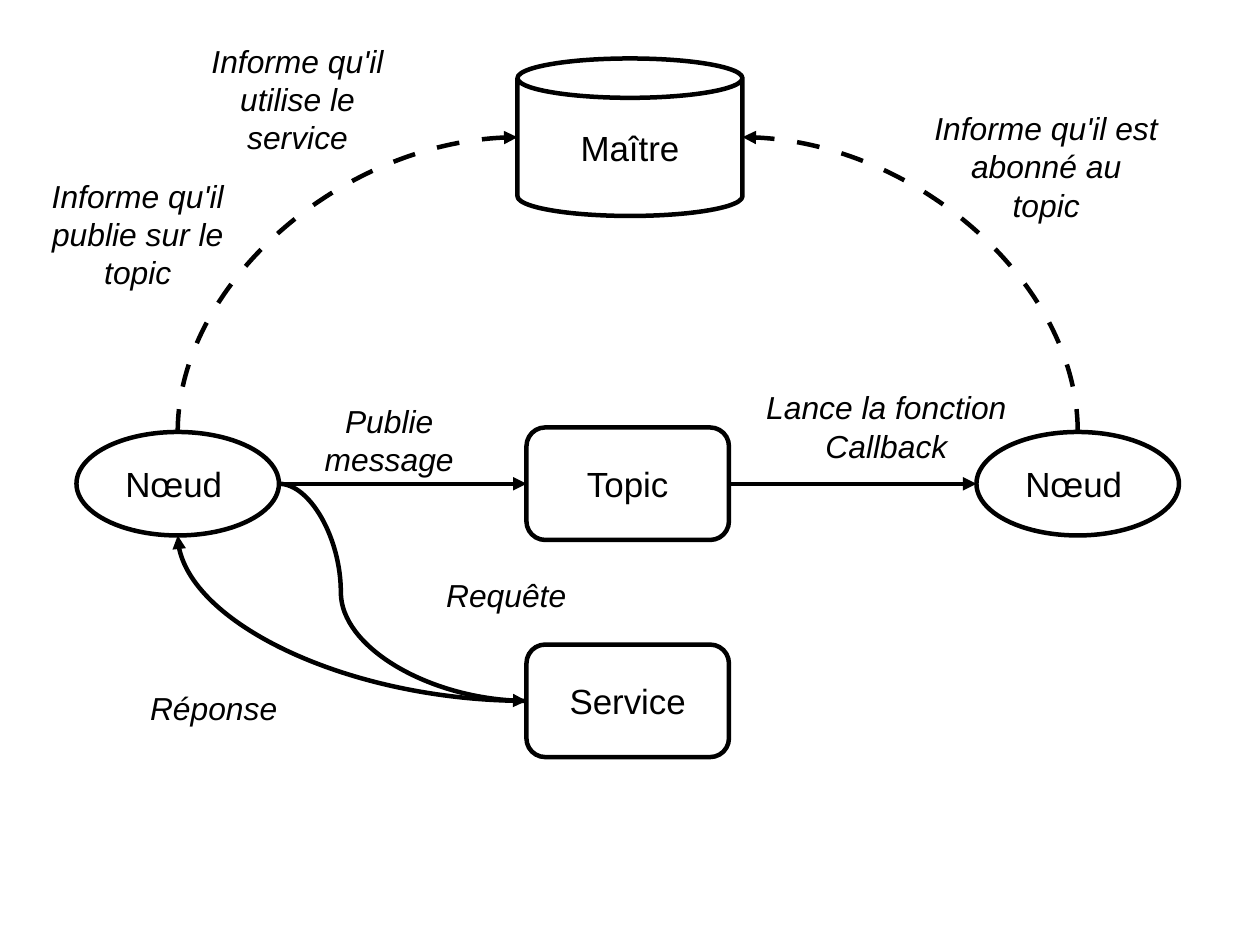
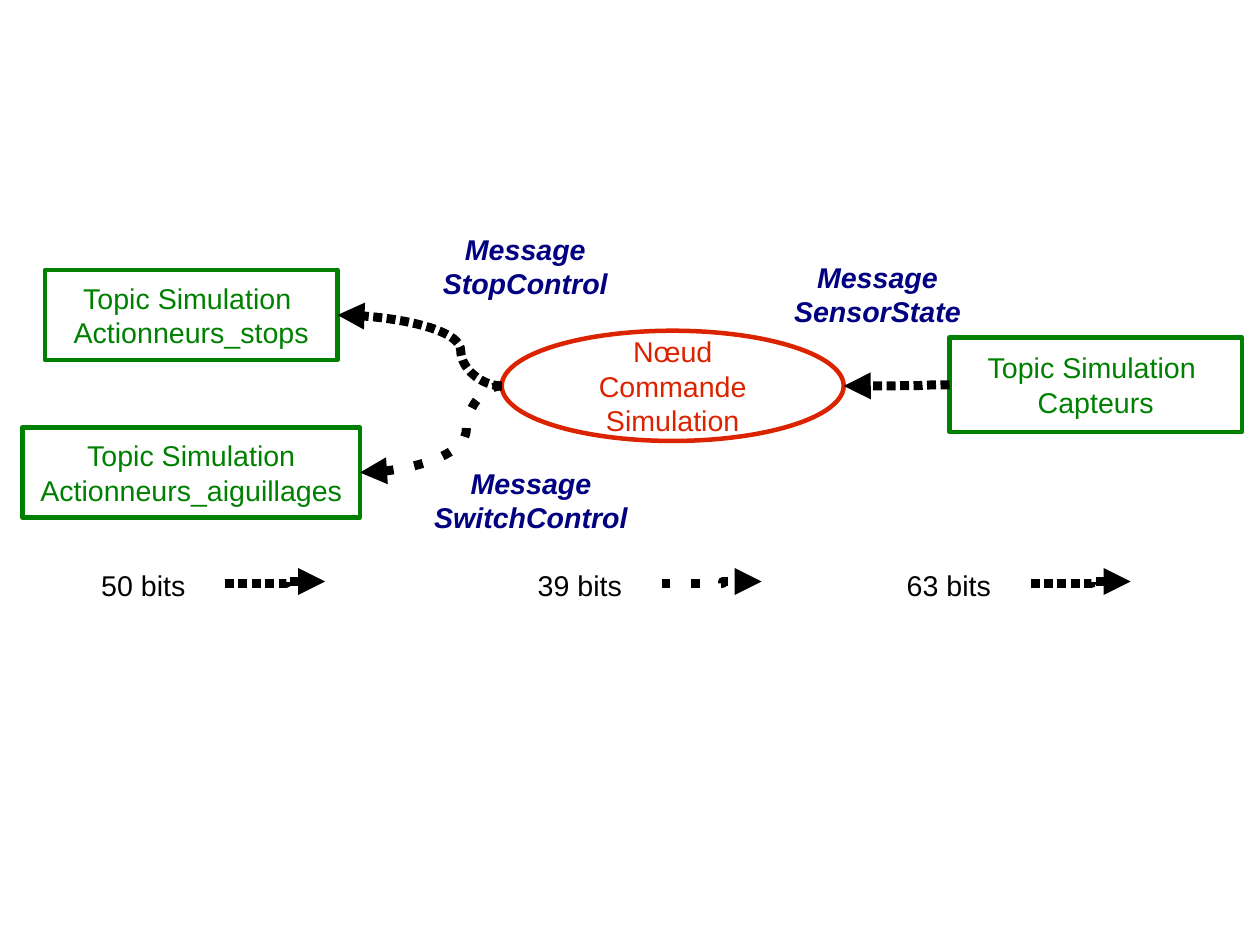
from dataclasses import dataclass

from lxml import etree
from pptx import Presentation
from pptx.dml.color import RGBColor
from pptx.enum.shapes import MSO_CONNECTOR, MSO_SHAPE
from pptx.enum.text import MSO_ANCHOR, MSO_AUTO_SIZE, PP_ALIGN
from pptx.oxml.ns import qn
from pptx.util import Emu, Pt

PX = 9000
ELLIPSE, CAN = MSO_SHAPE.OVAL, MSO_SHAPE.CAN
RECT, ROUND = MSO_SHAPE.RECTANGLE, MSO_SHAPE.ROUNDED_RECTANGLE
STRAIGHT, CURVE, ELBOW = MSO_CONNECTOR.STRAIGHT, MSO_CONNECTOR.CURVE, MSO_CONNECTOR.ELBOW
LEFT, CENTER = PP_ALIGN.LEFT, PP_ALIGN.CENTER
MIDDLE = MSO_ANCHOR.MIDDLE
GROW = MSO_AUTO_SIZE.SHAPE_TO_FIT_TEXT

SITES = {ELLIPSE: (0, 2, 4, 6), CAN: (1, 2, 3, 4)}
SIDES = "tlbr"
HEADINGS = {"t": 270, "l": 180, "b": 90, "r": 0}


@dataclass(frozen=True)
class Theme:
    font: str = "Arial"
    black: str = "000000"
    red: str = "DC2300"
    green: str = "008000"
    navy: str = "000080"
    node_size: int = 22
    label_size: int = 20
    small_size: int = 18
    line: float = 2.83
    thick: float = 5.67
    dashed: tuple = (508, 508)
    dense: tuple = (100, 50)
    sparse: tuple = (100, 233)


T = Theme()


def px(*values):
    return [Emu(v * PX) for v in values]


def add_run(p, text, color, size, **fmt):
    r = p.add_run()
    r.text = text
    for key, value in {"name": T.font, "size": Pt(size), **fmt}.items():
        setattr(r.font, key, value)
    r.font.color.rgb = RGBColor.from_string(color)


def write(tf, lines, align, color, size, **fmt):
    for i, line in enumerate(lines):
        p = tf.paragraphs[0] if i == 0 else tf.add_paragraph()
        p.alignment = align
        add_run(p, line, color, size, **fmt)


def node(s, kind, box, lines, color=T.black, size=T.node_size):
    sp = s.shapes.add_shape(kind, *px(*box))
    sp.shadow.inherit = False
    sp.fill.background()
    sp.line.color.rgb = RGBColor.from_string(color)
    sp.line.width = Pt(T.line)
    tf = sp.text_frame
    tf.word_wrap = kind in (ELLIPSE, RECT)
    tf.vertical_anchor = MIDDLE
    tf.margin_left, tf.margin_top, tf.margin_right, tf.margin_bottom = px(12, 7, 12, 7)
    write(tf, lines, CENTER, color, size)
    return sp


def ros_node(s, x):
    sp = node(s, ELLIPSE, (x, 384, 180, 92), ["Nœud"])
    add_run(sp.text_frame.paragraphs[0], " ", T.black, T.small_size)
    return sp


def label(s, box, text, color=T.black, size=T.label_size, align=CENTER, **fmt):
    tf = s.shapes.add_textbox(*px(*box)).text_frame
    tf.word_wrap = True
    tf.auto_size = GROW
    write(tf, [text], align, color, size, **fmt)


def arrow(s, kind, start, end, heading=0, width=T.line, dash=None, adj=None):
    (x1, y1), (x2, y2) = start, end
    dx, dy = x2 - x1, y2 - y1
    w, h = (abs(dy), abs(dx)) if heading % 180 else (abs(dx), abs(dy))
    flip = {0: dy < 0, 90: dx > 0, 180: dy > 0, 270: dx < 0}[heading]
    left, top = (x1 + x2 - w) // 2, (y1 + y2 - h) // 2
    first, last = (top + h, top) if flip else (top, top + h)
    c = s.shapes.add_connector(kind, left, first, left + w, last)
    c.line.color.rgb = RGBColor.from_string(T.black)
    c.line.width = Pt(width)
    pr = c._element.spPr
    if heading:
        pr.find(qn("a:xfrm")).set("rot", str(heading * 60000))
    if adj:
        av = pr.find(qn("a:prstGeom")).find(qn("a:avLst"))
        etree.SubElement(av, qn("a:gd"), name="adj1", fmla=f"val {adj}")
    ln = pr.find(qn("a:ln"))
    if dash:
        ds = etree.SubElement(ln, qn("a:custDash"))
        d, gap = (str(v * 1000) for v in dash)
        etree.SubElement(ds, qn("a:ds"), d=d, sp=gap)
    etree.SubElement(ln, qn("a:tailEnd"), type="triangle")
    etree.SubElement(pr, qn("a:effectLst"))
    return c


def site(sp, side):
    cx, cy = sp.left + sp.width // 2, sp.top + sp.height // 2
    return {"t": (cx, sp.top), "l": (sp.left, cy),
            "b": (cx, sp.top + sp.height), "r": (sp.left + sp.width, cy)}[side]


def link(s, kind, a, a_side, b, b_side, quarter=False, **fmt):
    c = arrow(s, kind, site(a, a_side), site(b, b_side), HEADINGS[a_side], **fmt)
    if quarter:
        c._element.spPr.find(qn("a:prstGeom")).set("prst", "curvedConnector2")
    props = c._element.nvCxnSpPr.cNvCxnSpPr
    for tag, sp, side in (("a:stCxn", a, a_side), ("a:endCxn", b, b_side)):
        idx = SITES.get(sp.auto_shape_type, (0, 1, 2, 3))[SIDES.index(side)]
        etree.SubElement(props, qn(tag), id=str(sp.shape_id), idx=str(idx))


def architecture(s):
    subscriber = ros_node(s, 868)
    topic = node(s, ROUND, (468, 380, 180, 100), ["Topic"])
    master = node(s, CAN, (460, 52, 200, 140), ["Maître"])
    publisher = ros_node(s, 68)
    service = node(s, ROUND, (468, 573, 180, 100), ["Service"])

    link(s, CURVE, publisher, "t", master, "l", quarter=True, dash=T.dashed)
    link(s, CURVE, subscriber, "t", master, "r", quarter=True, dash=T.dashed)
    link(s, STRAIGHT, publisher, "r", topic, "l")
    link(s, STRAIGHT, topic, "r", subscriber, "l")
    link(s, CURVE, publisher, "r", service, "l", adj=25000)
    link(s, CURVE, service, "l", publisher, "b", quarter=True)

    for box, text in (
        ((276, 352, 140, 74), "Publie message"),
        ((648, 340, 280, 105), "Lance la fonction Callback"),
        ((5, 152, 235, 168), "Informe qu'il publie sur le topic"),
        ((820, 92, 220, 168), "Informe qu'il est abonné au topic"),
        ((380, 507, 140, 73), "Requête"),
        ((120, 607, 140, 73), "Réponse"),
        ((157, 32, 215, 108), "Informe qu'il utilise le service"),
    ):
        label(s, box, text, italic=True)


def simulation(s):
    command = node(s, ELLIPSE, (446, 294, 304, 98), ["Nœud Commande", "Simulation"],
                   T.red, T.small_size)
    sensors, stops, switches = [
        node(s, RECT, box, lines, T.green, T.small_size) for box, lines in (
            ((844, 300, 260, 84), ["Topic Simulation ", "Capteurs"]),
            ((40, 240, 260, 80), ["Topic Simulation ", "Actionneurs_stops"]),
            ((20, 380, 300, 80), ["Topic Simulation", "Actionneurs_aiguillages"]),
        )]

    for a, b, dash in ((sensors, command, T.dense), (command, stops, T.dense),
                       (command, switches, T.sparse)):
        link(s, CURVE, a, "l", b, "r", width=T.thick, dash=dash, adj=25000)

    for box, text in (
        ((640, 226, 280, 90), "Message SensorState"),
        ((327, 201, 280, 90), "Message StopControl"),
        ((320, 409, 304, 90), "Message SwitchControl"),
    ):
        label(s, box, text, T.navy, T.small_size, bold=True, italic=True)

    for x, text, dash in ((80, "50 bits", T.dense), (468, "39 bits", T.sparse),
                          (796, "63 bits", T.dense)):
        label(s, (x, 500, 120, 39), text, size=T.small_size, align=LEFT)
        arrow(s, ELBOW, px(x + 120, 519), px(x + 209, 517),
              width=T.thick, dash=dash, adj=61200)


def main():
    prs = Presentation()
    prs.slide_width, prs.slide_height = px(1120, 840)
    for build in (architecture, simulation):
        build(prs.slides.add_slide(prs.slide_layouts[6]))
    prs.save("out.pptx")


if __name__ == "__main__":
    main()
